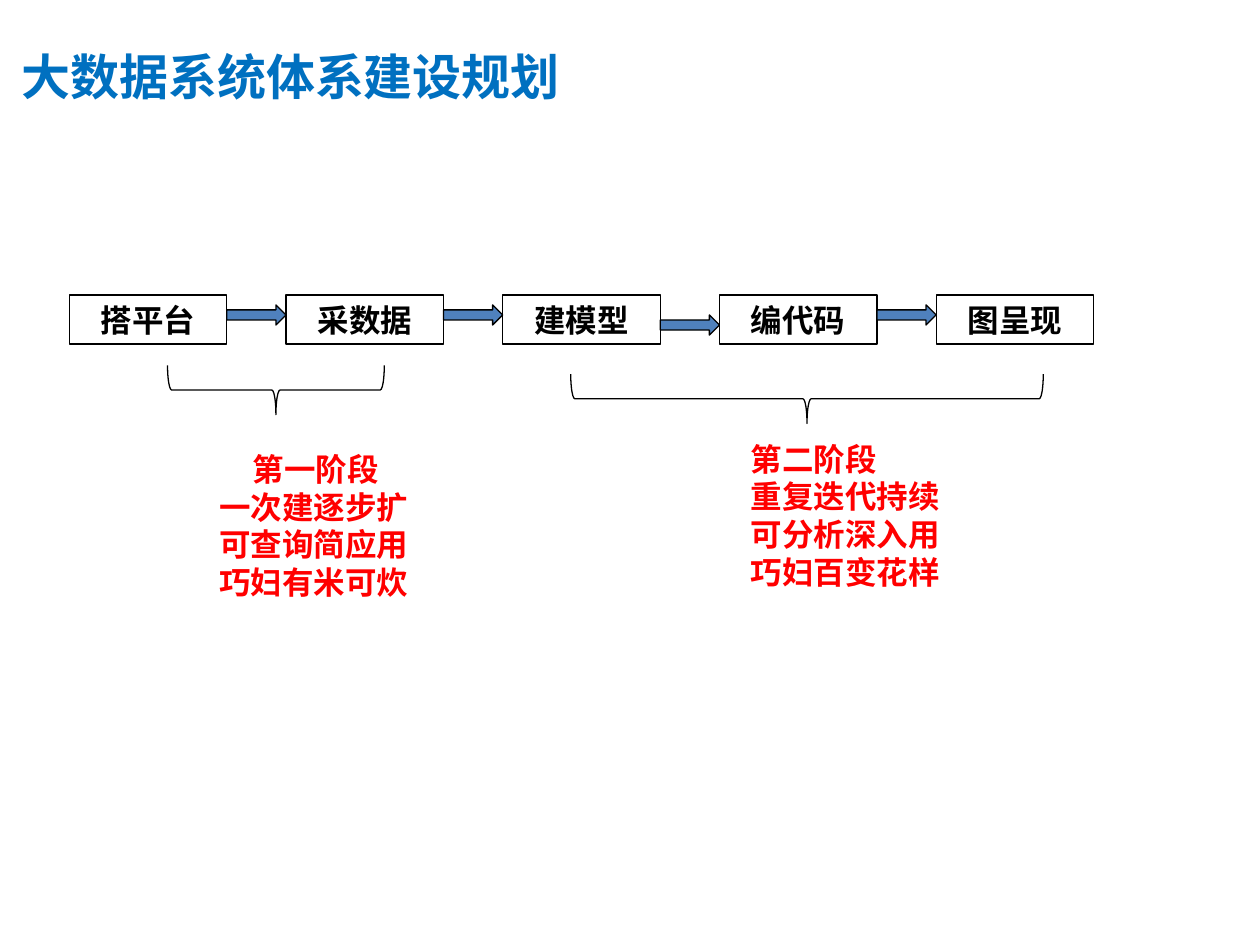
from dataclasses import dataclass

from pptx import Presentation
from pptx.dml.color import RGBColor
from pptx.enum.lang import MSO_LANGUAGE_ID
from pptx.enum.shapes import MSO_SHAPE
from pptx.enum.text import MSO_ANCHOR, PP_ALIGN
from pptx.util import Inches, Pt

CHINESE = MSO_LANGUAGE_ID.SIMPLIFIED_CHINESE
RECTANGLE, ARROW, BRACE = MSO_SHAPE.RECTANGLE, MSO_SHAPE.RIGHT_ARROW, MSO_SHAPE.LEFT_BRACE
TOP, MIDDLE = MSO_ANCHOR.TOP, MSO_ANCHOR.MIDDLE
LEFT, CENTER = PP_ALIGN.LEFT, PP_ALIGN.CENTER

WIDTH, HEIGHT = 10, 7.5
FIRST_STEP, STEP_PITCH, STEP_WIDTH = 0.55, 1.72, 1.25
STEP_TOP, STEP_HEIGHT = 2.34, 0.39
ARROW_HEIGHT, BRACE_DEPTH = 0.16, 0.39

STEPS = ["搭平台", "采数据", "建模型", "编代码", "图呈现"]
ARROW_TOPS = [2.42, 2.42, 2.5, 2.42]
PHASES = [
    {
        "brace": (1.33, 2.9, 1.72),
        "area": (1.64, 3.52, 1.73, 1.62),
        "lines": ["第一阶段", "一次建逐步扩", "可查询简应用", "巧妇有米可炊"],
        "heading_align": CENTER,
        "wrap": True,
    },
    {
        "brace": (4.53, 2.97, 3.75),
        "area": (5.86, 3.44, 1.73, 1.31),
        "lines": ["第二阶段", "重复迭代持续", "可分析深入用", "巧妇百变花样"],
        "heading_align": LEFT,
        "wrap": False,
    },
]


@dataclass(frozen=True)
class Theme:
    """Colours, fonts and type sizes of the deck."""

    title_color: RGBColor = RGBColor(0x00, 0x70, 0xC0)
    ink: RGBColor = RGBColor(0x00, 0x00, 0x00)
    accent: RGBColor = RGBColor(0x4F, 0x81, 0xBD)
    phase_color: RGBColor = RGBColor(0xFF, 0x00, 0x00)
    title_font: str = "Noto Sans CJK SC"
    body_font: str = "Arial"
    title_size: int = 28
    body_size: int = 18
    line_width: float = 0.75


class PageBuilder:
    """Draws styled elements on the current slide."""

    def __init__(self, page, theme):
        """Keep the slide and its style."""
        self.page = page
        self.theme = theme

    def fill_text(self, frame, lines, color, frame_format, alignments):
        """Fill a text frame with one formatted paragraph per line."""
        for name, value in frame_format.items():
            setattr(frame, name, value)
        font_format = {
            "name": self.theme.body_font,
            "size": Pt(self.theme.body_size),
            "bold": True,
            "language_id": CHINESE,
        }
        for index, (line, alignment) in enumerate(zip(lines, alignments)):
            para = frame.add_paragraph() if index else frame.paragraphs[0]
            para.alignment = alignment
            span = para.add_run()
            span.text = line
            for name, value in font_format.items():
                setattr(span.font, name, value)
            span.font.color.rgb = color

    def title(self, text, area):
        """Place and format the title placeholder."""
        box = self.page.shapes.title
        for name, value in zip(("left", "top", "width", "height"), area):
            setattr(box, name, Inches(value))
        frame_format = {
            "margin_left": Inches(0.17),
            "margin_right": 0,
            "margin_top": 0,
            "margin_bottom": 0,
            "vertical_anchor": MIDDLE,
            "word_wrap": True,
        }
        self.fill_text(box.text_frame, [text], self.theme.title_color, frame_format, [LEFT])
        font = box.text_frame.paragraphs[0].runs[0].font
        font.name, font.size = self.theme.title_font, Pt(self.theme.title_size)

    def shape(self, kind, area, fill=None):
        """Add an outlined preset shape."""
        item = self.page.shapes.add_shape(kind, *map(Inches, area))
        item.shadow.inherit = False
        item.line.color.rgb = self.theme.ink
        item.line.width = Pt(self.theme.line_width)
        if fill is None:
            item.fill.background()
        else:
            item.fill.solid()
            item.fill.fore_color.rgb = fill
        return item

    def step(self, text, column):
        """Add a process step in a grid column."""
        left = FIRST_STEP + column * STEP_PITCH
        box = self.shape(RECTANGLE, (left, STEP_TOP, STEP_WIDTH, STEP_HEIGHT))
        frame_format = {"vertical_anchor": MIDDLE, "word_wrap": True}
        self.fill_text(box.text_frame, [text], self.theme.ink, frame_format, [CENTER])

    def arrow(self, column, top):
        """Add an arrow filling the gap after a grid column."""
        left = FIRST_STEP + column * STEP_PITCH + STEP_WIDTH
        area = (left, top, STEP_PITCH - STEP_WIDTH, ARROW_HEIGHT)
        self.shape(ARROW, area, self.theme.accent)

    def brace(self, left, top, span):
        """Add a brace pointing down below a range of steps."""
        offset = (span - BRACE_DEPTH) / 2
        item = self.shape(BRACE, (left + offset, top - offset, BRACE_DEPTH, span))
        item.rotation = 270

    def phase(self, brace, area, lines, heading_align, wrap):
        """Add a brace and the description of its phase."""
        self.brace(*brace)
        box = self.page.shapes.add_textbox(*map(Inches, area))
        frame_format = {"vertical_anchor": TOP, "word_wrap": wrap}
        alignments = [heading_align] + [LEFT] * (len(lines) - 1)
        self.fill_text(box.text_frame, lines, self.theme.phase_color, frame_format, alignments)


def main():
    """Build and save the deck."""
    deck = Presentation()
    deck.slide_width, deck.slide_height = Inches(WIDTH), Inches(HEIGHT)
    page = deck.slides.add_slide(deck.slide_layouts.get_by_name("Title Only"))
    builder = PageBuilder(page, Theme())
    builder.title("大数据系统体系建设规划", (0, 0.29, 5.31, 0.62))
    for column, text in enumerate(STEPS):
        builder.step(text, column)
    for column, top in enumerate(ARROW_TOPS):
        builder.arrow(column, top)
    for phase in PHASES:
        builder.phase(**phase)
    deck.save("out.pptx")


if __name__ == "__main__":
    main()
